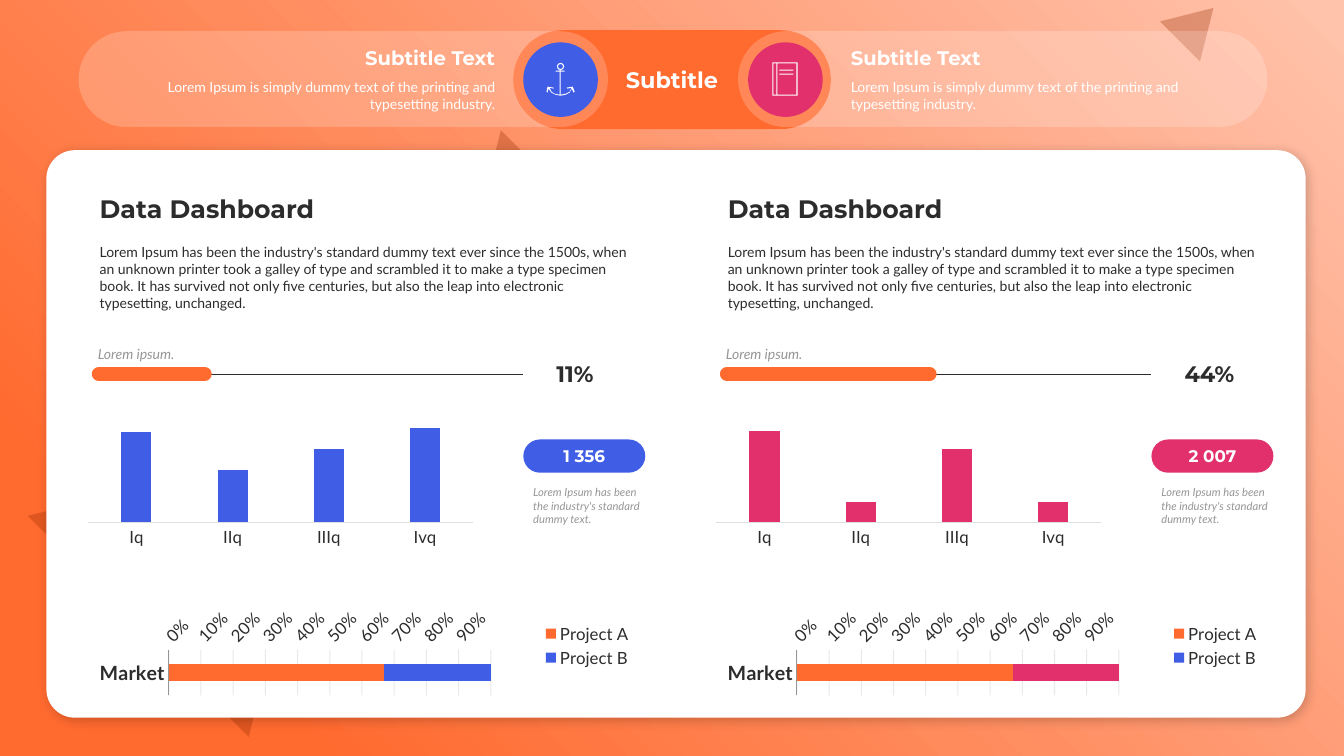
from dataclasses import dataclass
from typing import Any

from lxml.etree import SubElement
from pptx import Presentation
from pptx.chart.chart import Chart
from pptx.chart.data import CategoryChartData as Data
from pptx.dml.color import RGBColor
from pptx.enum.chart import XL_CHART_TYPE as Kind, XL_LEGEND_POSITION as Side, XL_TICK_MARK as Tick
from pptx.enum.shapes import MSO_CONNECTOR as Link, MSO_SHAPE as Geom
from pptx.enum.text import MSO_ANCHOR as Anchor, PP_ALIGN as Align
from pptx.oxml import parse_xml
from pptx.oxml.ns import nsdecls, qn
from pptx.shapes.autoshape import Shape
from pptx.util import Pt

PX = 9144
WHITE = RGBColor(0xFF, 0xFF, 0xFF)
ORANGE = RGBColor(0xFF, 0x6A, 0x2F)
BLUE = RGBColor(0x40, 0x5D, 0xE6)
PINK = RGBColor(0xE1, 0x30, 0x6C)
RUST = RGBColor(0x97, 0x2B, 0x00)
DARK = RGBColor(0x2C, 0x2C, 0x2C)
GREY = RGBColor(0x96, 0x96, 0x96)
PALE = RGBColor(0xDF, 0xDF, 0xDF)

Box = tuple[int, int, int, int]
Spot = tuple[int, int]
HEAD = "Montserrat"
BODY = "Lato"
PITCH = "Lorem Ipsum is simply dummy text of the printing and typesetting industry."
STORY = ("Lorem Ipsum has been the industry's standard dummy text ever since the 1500s, when an unknown "
         "printer took a galley of type and scrambled it to make a type specimen book. It has survived not "
         "only five centuries, but also the leap into electronic typesetting, unchanged.")
NOTE = "Lorem Ipsum has been the industry's standard dummy text."
SKY = f"""<a:gradFill {nsdecls('a')} rotWithShape="1"><a:gsLst>
<a:gs pos="0"><a:srgbClr val="FFC3AC"/></a:gs><a:gs pos="85000"><a:srgbClr val="FF6A2F"/></a:gs></a:gsLst>
<a:path path="circle"><a:fillToRect l="100000" b="100000"/></a:path></a:gradFill>"""
SHADE = f"""<a:outerShdw {nsdecls('a')} blurRad="101600" dist="38100" dir="2700000" algn="tl" rotWithShape="0">
<a:srgbClr val="000000"><a:alpha val="20000"/></a:srgbClr></a:outerShdw>"""

ANCHOR = [[(549, 87), (543, 86), (542, 91), (543, 92), (544, 88), (547, 92), (551, 94), (556, 95), (561, 94),
           (565, 92), (567, 88), (569, 92), (570, 91), (568, 86), (562, 87), (563, 88), (567, 87), (565, 91),
           (561, 93), (556, 94), (556, 71), (560, 71), (560, 70), (556, 70), (556, 69), (555, 69), (555, 70),
           (551, 70), (551, 71), (555, 71), (555, 94), (550, 93), (547, 91), (545, 87), (549, 88)]]
BOOK = [[(766, 62), (791, 62), (791, 95), (766, 95)],
        [(767, 63), (767, 94), (770, 94), (770, 63)],
        [(771, 63), (771, 94), (790, 94), (790, 63)]]


@dataclass
class Run:
    text: str
    size: int
    color: RGBColor
    name: str = BODY
    bold: bool = False
    italic: bool = False


@dataclass
class Panel:
    left: int
    color: RGBColor
    vals: tuple[int, ...]
    top: int
    rate: str
    end: int
    count: str


PANELS = [Panel(0, BLUE, (96, 56, 78, 100), 112, "11%", 203, "1 356"),
          Panel(623, PINK, (100, 23, 81, 23), 116, "44%", 299, "2 007")]

deck = Presentation()
deck.slide_width, deck.slide_height = 1333 * PX, 750 * PX
shapes = deck.slides.add_slide(deck.slide_layouts[6]).shapes


def put(item: Any, vals: dict[str, Any]) -> None:
    for key, val in vals.items():
        setattr(item, key, val)


def scale(box: Box) -> list[int]:
    return [n * PX for n in box]


def fade(node: Any, part: int) -> None:
    for tint in node.iter(qn("a:srgbClr")):
        SubElement(tint, qn("a:alpha"), val=str(part * 1000))


def paint(item: Shape, color: RGBColor | None, part: int = 100) -> Shape:
    item.shadow.inherit = False
    item.line.fill.background()
    if color is None:
        item.fill.background()
    else:
        item.fill.solid()
        item.fill.fore_color.rgb = color
    if part < 100:
        fade(item.element.spPr, part)
    return item


def draw(geom: Geom, box: Box, color: RGBColor | None, part: int = 100, bend: float = 0.5) -> Shape:
    item = paint(shapes.add_shape(geom, *scale(box)), color, part)
    if geom == Geom.ROUNDED_RECTANGLE:
        item.adjustments[0] = bend
    return item


def trace(loops: list[list[Spot]]) -> None:
    pen = shapes.build_freeform(*loops[0][0], scale=PX)
    for loop in loops:
        pen.move_to(*loop[0])
        pen.add_line_segments(loop[1:], close=True)
    paint(pen.convert_to_shape(), WHITE)


def write(item: Shape, runs: list[Run], align: Align = Align.LEFT, anchor: Anchor = Anchor.MIDDLE,
          pad: Box = (10, 5, 10, 5), gap: int = 0) -> None:
    frame = item.text_frame
    sides = ("margin_left", "margin_top", "margin_right", "margin_bottom")
    put(frame, {"word_wrap": True, "vertical_anchor": anchor, **dict(zip(sides, scale(pad)))})
    for i, run in enumerate(runs):
        para = frame.add_paragraph() if i else frame.paragraphs[0]
        put(para, {"alignment": align, "space_after": Pt(gap)})
        word = para.add_run()
        word.text = run.text
        put(word.font, {"size": Pt(run.size), "name": run.name, "bold": run.bold, "italic": run.italic})
        word.font.color.rgb = run.color


def label(box: Box, run: Run, **opts: Any) -> None:
    write(shapes.add_textbox(*scale(box)), [run], **opts)


def rule(start: int, end: int, color: RGBColor, width: float, cap: str) -> None:
    line = shapes.add_connector(Link.STRAIGHT, *scale((start, 371, end, 371)))
    put(line.line, {"width": Pt(width)})
    line.line.color.rgb = color
    line.line._get_or_add_ln().set("cap", cap)
    SubElement(line.element.spPr, qn("a:effectLst"))


def graph(kind: Kind, box: Box, cats: list[str], rows: dict[str, tuple[int, ...]], hues: list[RGBColor],
          area: tuple[float, ...], gap: int, lap: int) -> Chart:
    data = Data()
    data.categories = cats
    for name, vals in rows.items():
        data.add_series(name, vals)
    chart = shapes.add_chart(kind, *scale(box), data).chart
    put(chart, {"has_title": False, "has_legend": False})
    put(chart.font, {"size": Pt(12), "name": BODY})
    chart.font.color.rgb = DARK
    plot = chart.plots[0]
    put(plot, {"gap_width": gap, "overlap": lap, "vary_by_categories": False})
    for row, hue in zip(plot.series, hues):
        row.format.fill.solid()
        row.format.fill.fore_color.rgb = hue
    for axis in (chart.category_axis, chart.value_axis):
        put(axis, {"major_tick_mark": Tick.NONE, "minor_tick_mark": Tick.NONE})
    field = chart.element.find(f".//{qn('c:plotArea')}")
    for old in field.findall(qn("c:layout")):
        field.remove(old)
    vals = "".join(f'<c:{k} val="{v}"/>' for k, v in zip("xywh", area))
    field.insert(0, parse_xml(f'<c:layout {nsdecls("c")}><c:manualLayout><c:layoutTarget val="inner"/>'
                              f'<c:xMode val="edge"/><c:yMode val="edge"/>{vals}</c:manualLayout></c:layout>'))
    return chart


def columns(panel: Panel) -> None:
    chart = graph(Kind.COLUMN_CLUSTERED, (panel.left + 78, 398, 401, 165), ["Iq", "IIq", "IIIq", "Ivq"],
                  {"Series 1": panel.vals}, [panel.color], (0.024, 0.095, 0.952, 0.635), 219, -27)
    put(chart.value_axis, {"visible": False, "has_major_gridlines": False,
                           "minimum_scale": 0, "maximum_scale": panel.top})
    line = chart.category_axis.format.line
    line.width = Pt(0.75)
    line.color.rgb = PALE


def market(panel: Panel) -> None:
    chart = graph(Kind.BAR_STACKED_100, (panel.left + 89, 589, 548, 103), ["Market"],
                  {"Project A": (67,), "Project B": (33,)}, [ORANGE, BLUE], (0.143, 0.54, 0.583, 0.44), 155, 100)
    spot = chart.plots[0].series[1].points[0].format.fill
    spot.solid()
    spot.fore_color.rgb = panel.color
    cat, axis = chart.category_axis, chart.value_axis
    cat.reverse_order = True
    put(cat.tick_labels.font, {"size": Pt(14), "bold": True})
    cat.format.line.color.rgb = GREY
    put(axis, {"minimum_scale": 0, "maximum_scale": 1, "major_unit": 0.1, "has_major_gridlines": True})
    put(axis.tick_labels, {"number_format": "0%", "number_format_is_linked": False})
    axis.tick_labels.font.size = Pt(12)
    axis._element.find(f".//{qn('a:bodyPr')}").set("rot", "-2700000")
    axis.format.line.fill.background()
    grid = axis.major_gridlines.format.line
    grid.width = Pt(0.75)
    grid.color.rgb = DARK
    fade(axis._element.find(qn("c:majorGridlines")), 10)
    chart.has_legend = True
    put(chart.legend, {"position": Side.RIGHT, "include_in_layout": False})


def header() -> None:
    back = draw(Geom.RECTANGLE, (0, 0, 1333, 750), None).element.spPr
    back.replace(back.find(qn("a:noFill")), parse_xml(SKY))
    for box, turn in (((73, 402, 310, 257), 45), ((457, 150, 90, 75), 225), ((1159, 1, 56, 47), 45)):
        draw(Geom.ISOSCELES_TRIANGLE, box, RUST, 30).rotation = turn
    write(draw(Geom.ROUNDED_RECTANGLE, (509, 30, 315, 98), ORANGE),
          [Run("Subtitle", 16, WHITE, HEAD, True)], Align.CENTER)
    runs = [Run("Subtitle Text", 14, WHITE, HEAD, True), Run(PITCH, 10, WHITE)]
    for left, align, pad in ((732, Align.LEFT, (98, 5, 20, 5)), (78, Align.RIGHT, (20, 5, 98, 5))):
        write(draw(Geom.ROUNDED_RECTANGLE, (left, 31, 525, 95), WHITE, 20), runs, align, pad=pad, gap=6)
    for left, hue, icon in ((519, BLUE, ANCHOR), (742, PINK, BOOK)):
        draw(Geom.OVAL, (left, 42, 74, 74), hue)
        trace(icon)
    ring = draw(Geom.OVAL, (553, 63, 6, 6), None).line
    ring.width = Pt(0.75)
    ring.color.rgb = WHITE
    for top in (69, 73):
        draw(Geom.RECTANGLE, (773, top, 14, 1), WHITE)


def board(panel: Panel) -> None:
    left = panel.left
    write(draw(Geom.ROUNDED_RECTANGLE, (left + 519, 436, 121, 33), panel.color),
          [Run(panel.count, 12, WHITE, HEAD, True)], Align.CENTER, pad=(0, 0, 0, 0))
    label((left + 519, 477, 138, 50), Run(NOTE, 8, GREY, italic=True), anchor=Anchor.TOP)
    columns(panel)
    market(panel)
    label((left + 89, 237, 548, 77), Run(STORY, 10, DARK), anchor=Anchor.TOP, gap=6)
    label((left + 89, 187, 548, 40), Run("Data Dashboard", 18, DARK, HEAD, True), anchor=Anchor.BOTTOM)
    rule(left + 93, left + 519, DARK, 0.5, "flat")
    rule(left + 98, left + panel.end, ORANGE, 10, "rnd")
    label((left + 542, 352, 95, 37), Run(panel.rate, 16, DARK, HEAD, True))
    label((left + 89, 337, 192, 27), Run("Lorem ipsum.", 10, GREY, italic=True),
          anchor=Anchor.BOTTOM, pad=(8, 5, 10, 5))


def main() -> None:
    header()
    card = draw(Geom.ROUNDED_RECTANGLE, (46, 149, 1249, 563), WHITE, bend=0.05)
    card.element.spPr.find(qn("a:effectLst")).append(parse_xml(SHADE))
    for panel in PANELS:
        board(panel)
    deck.save("out.pptx")


if __name__ == "__main__":
    main()
